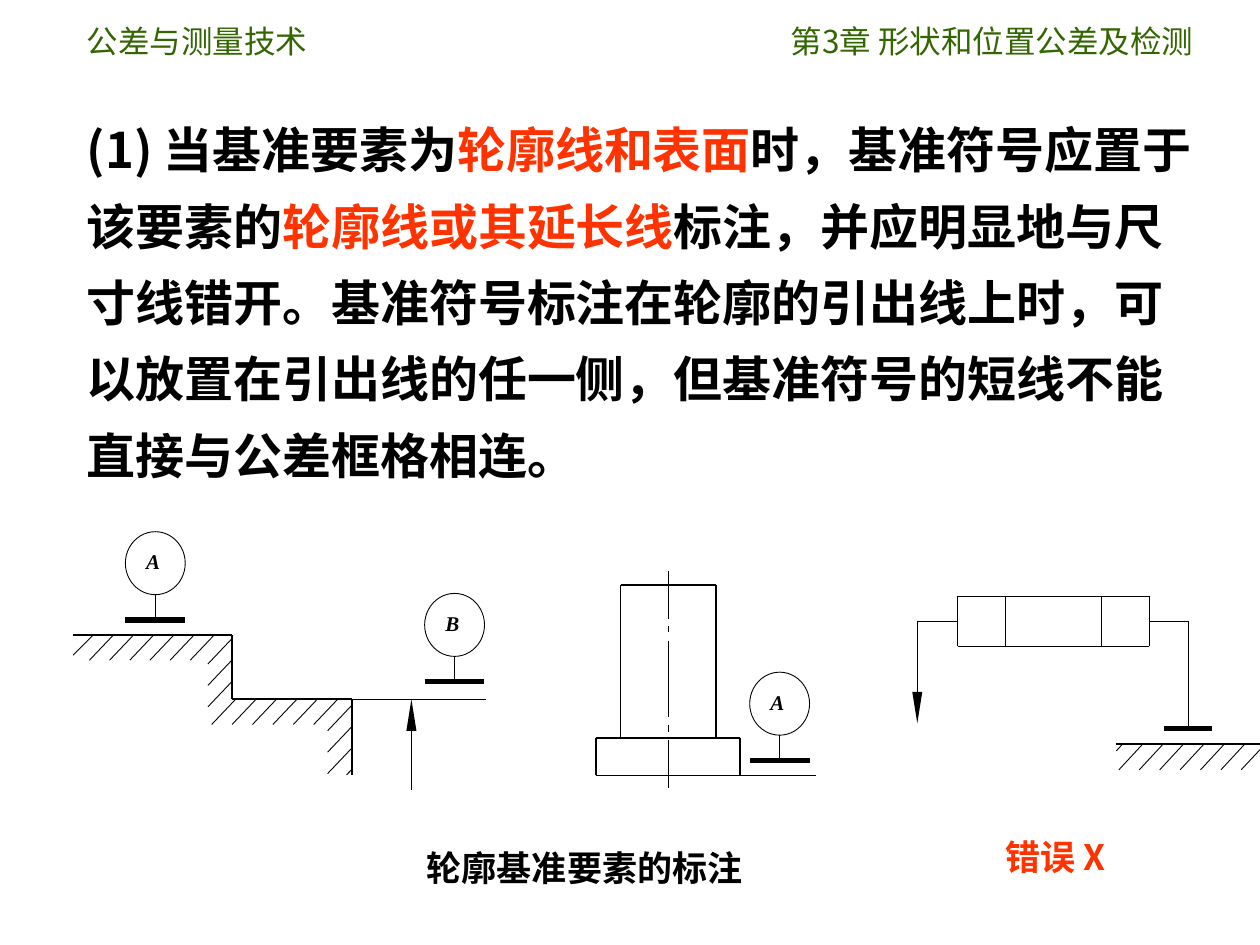
from itertools import pairwise

from lxml.etree import SubElement
from pptx import Presentation
from pptx.dml.color import RGBColor
from pptx.enum.shapes import MSO_CONNECTOR, MSO_SHAPE
from pptx.enum.text import PP_ALIGN
from pptx.oxml.ns import qn
from pptx.util import Inches, Pt

COLORS = {"ink": "000000", "green": "336600", "red": "FF3300"}
CJK, LATIN = "Noto Sans CJK SC", "Times New Roman"
THIN, EDGE, BAR = 0.5, 1, 3
WIDTH, HEIGHT = Inches(10), Inches(7.5)
COL, ROW = WIDTH / 100, HEIGHT / 75  # grid of 100 columns by 75 rows


def col(n):
    return round(n * COL)


def row(n):
    return round(n * ROW)


def rgb(name):
    return RGBColor.from_string(COLORS[name])


# Basic parts, each placed relative to the left and top of its box
def add_text(s, box, parts, size, align=PP_ALIGN.LEFT, font=CJK,
             bold=True, italic=False, margins=(1, 0.5), spacing=None):
    x, y, w, h = box
    tf = s.shapes.add_textbox(col(x), row(y), col(w), row(h)).text_frame
    tf.word_wrap = True
    tf.margin_left = tf.margin_right = col(margins[0])
    tf.margin_top = tf.margin_bottom = row(margins[1])
    p = tf.paragraphs[0]
    p.alignment = align
    if spacing:
        p.line_spacing = spacing
    for text, color in parts:
        r = p.add_run()
        r.text = text
        r.font.size, r.font.bold, r.font.italic = Pt(size), bold, italic
        r.font.color.rgb = rgb(color)
        r.font.name = font
        SubElement(r.font._element, qn("a:ea"), typeface=font)


def add_lines(s, box, points, weight=THIN):
    x, y = box[:2]
    for (x1, y1), (x2, y2) in pairwise(points):
        line = s.shapes.add_connector(MSO_CONNECTOR.STRAIGHT, col(x + x1),
                                      row(y + y1), col(x + x2), row(y + y2))
        line.line.color.rgb = rgb("ink")
        line.line.width = Pt(weight)
        SubElement(line._element.spPr, qn("a:effectLst"))


def add_frame(s, box, left, top, right, bottom, weight):
    add_lines(s, box, [(left, top), (right, top), (right, bottom),
                       (left, bottom), (left, top)], weight)


def add_hatch(s, box, start, step, count, rise=2):
    for i in range(count):
        x, y = start[0] + i * step[0], start[1] + i * step[1]
        add_lines(s, box, [(x, y), (x + 1.9, y - rise)])


def add_arrowhead(s, box, tip, length):
    x, y = box[0] + tip[0], box[1] + tip[1]
    base = row(y - length)
    fb = s.shapes.build_freeform(col(x), row(y))
    fb.add_line_segments([(col(x + 0.4), base), (col(x - 0.4), base)], close=True)
    head = fb.convert_to_shape()
    head.shadow.inherit = False
    head.fill.solid()
    head.fill.fore_color.rgb = rgb("ink")
    head.line.fill.background()


def add_datum(s, box, left, top, letter):
    """Datum symbol: lettered circle, stem and thick bar."""
    x, y = box[0] + left, box[1] + top
    w, h = 4.75, 5
    circle = s.shapes.add_shape(MSO_SHAPE.OVAL, col(x), row(y), col(w), row(h))
    circle.shadow.inherit = False
    circle.fill.background()
    circle.line.color.rgb = rgb("ink")
    circle.line.width = Pt(THIN)
    add_lines(s, (x, y), [(w / 2, h), (w / 2, h + 2)])
    add_lines(s, (x, y), [(0, h + 2), (w, h + 2)], BAR)
    add_text(s, (x + 1.65, y + 1.35, 3.1, 3), [(letter, "ink")], 12,
             font=LATIN, italic=True, margins=(0, 0))


# Regions of the slide
def header(s, box):
    x, y, w, h = box
    add_text(s, (x, y, 21.4, h), [("公差与测量技术", "green")], 18, bold=False)
    add_text(s, (x + w - 37, y, 37, h), [("第3章 形状和位置公差及检测", "green")],
             18, PP_ALIGN.RIGHT, bold=False)


def body(s, box):
    add_text(s, box, [
        ("(1) 当基准要素为", "ink"),
        ("轮廓线和表面", "red"),
        ("时，基准符号应置于该要素的", "ink"),
        ("轮廓线或其延长线", "red"),
        ("标注，并应明显地与尺寸线错开。基准符号标注在轮廓的引出线上时，"
         "可以放置在引出线的任一侧，但基准符号的短线不能直接与公差框格相连。", "ink"),
    ], 28, spacing=1.3)


def stepped_profile(s, box):
    add_lines(s, box, [(0, 8.2), (12.6, 8.2), (12.6, 13.3), (22.15, 13.3),
                       (22.15, 19.3)], EDGE)
    add_lines(s, box, [(22.15, 13.3), (32.8, 13.3)])
    # Hatching along each face, with clipped strokes at both ends
    add_lines(s, box, [(0, 9.8), (1.6, 8.2)])
    add_hatch(s, box, (1.3, 10.2), (1.6, 0), 6)
    add_hatch(s, box, (10.7, 10.5), (0, 1.7), 3)
    add_hatch(s, box, (11, 15.3), (1.62, 0), 6)
    add_hatch(s, box, (20.2, 15.8), (0, 1.7), 3)
    add_lines(s, box, [(21.7, 19.3), (22.1, 18.9)])
    # Dimension arrow and datums
    add_arrowhead(s, box, (26.85, 13.3), -2.5)
    add_lines(s, box, [(26.85, 15.8), (26.85, 20.5)])
    add_datum(s, box, 4.15, 0, "A")
    add_datum(s, box, 27.9, 4.9, "B")


def flanged_part(s, box):
    add_frame(s, box, 1.95, 1.15, 9.55, 13.25, EDGE)
    add_frame(s, box, 0, 13.25, 11.45, 16.25, EDGE)
    add_lines(s, box, [(11.45, 16.25), (17.5, 16.25)])
    # Centre line
    for top, bottom in [(0, 3.8), (4.4, 4.9), (5.6, 11.6), (12.2, 12.8), (13.4, 17.2)]:
        add_lines(s, box, [(5.75, top), (5.75, bottom)])
    add_datum(s, box, 12.2, 8.05, "A")


def wrong_example(s, box):
    # Tolerance frame
    add_frame(s, box, 3.6, 0, 18.8, 4, THIN)
    for x in (7.4, 15):
        add_lines(s, box, [(x, 0), (x, 4)])
    # Leaders on both sides
    add_lines(s, box, [(3.6, 2), (0.4, 2), (0.4, 7.6)])
    add_arrowhead(s, box, (0.4, 10.1), 2.5)
    add_lines(s, box, [(18.8, 2), (21.9, 2), (21.9, 10.4)])
    add_lines(s, box, [(20, 10.5), (23.8, 10.5)], BAR)
    # Hatched surface
    add_lines(s, box, [(16.2, 11.75), (27.6, 11.75)], EDGE)
    add_lines(s, box, [(16.2, 12.3), (16.7, 11.75)])
    add_hatch(s, box, (16.4, 13.8), (1.62, 0), 6, rise=2.05)
    add_lines(s, box, [(26.1, 13.8), (27.6, 12.2)])


def caption(s, box, text, color):
    add_text(s, box, [(text, color)], 20, PP_ALIGN.CENTER)


def main():
    prs = Presentation()
    prs.slide_width, prs.slide_height = WIDTH, HEIGHT
    s = prs.slides.add_slide(prs.slide_layouts[6])
    header(s, (5.9, 1.25, 89.8, 4))
    body(s, (5.9, 7.6, 90, 33.9))
    stepped_profile(s, (5.8, 42.2))
    flanged_part(s, (47.3, 45.3))
    wrong_example(s, (72.4, 47.3))
    caption(s, (27.5, 66.7, 37.8, 4.4), "轮廓基准要素的标注", "ink")
    caption(s, (75.55, 65.8, 16.5, 4.4), "错误 X", "red")
    prs.save("out.pptx")


if __name__ == "__main__":
    main()
